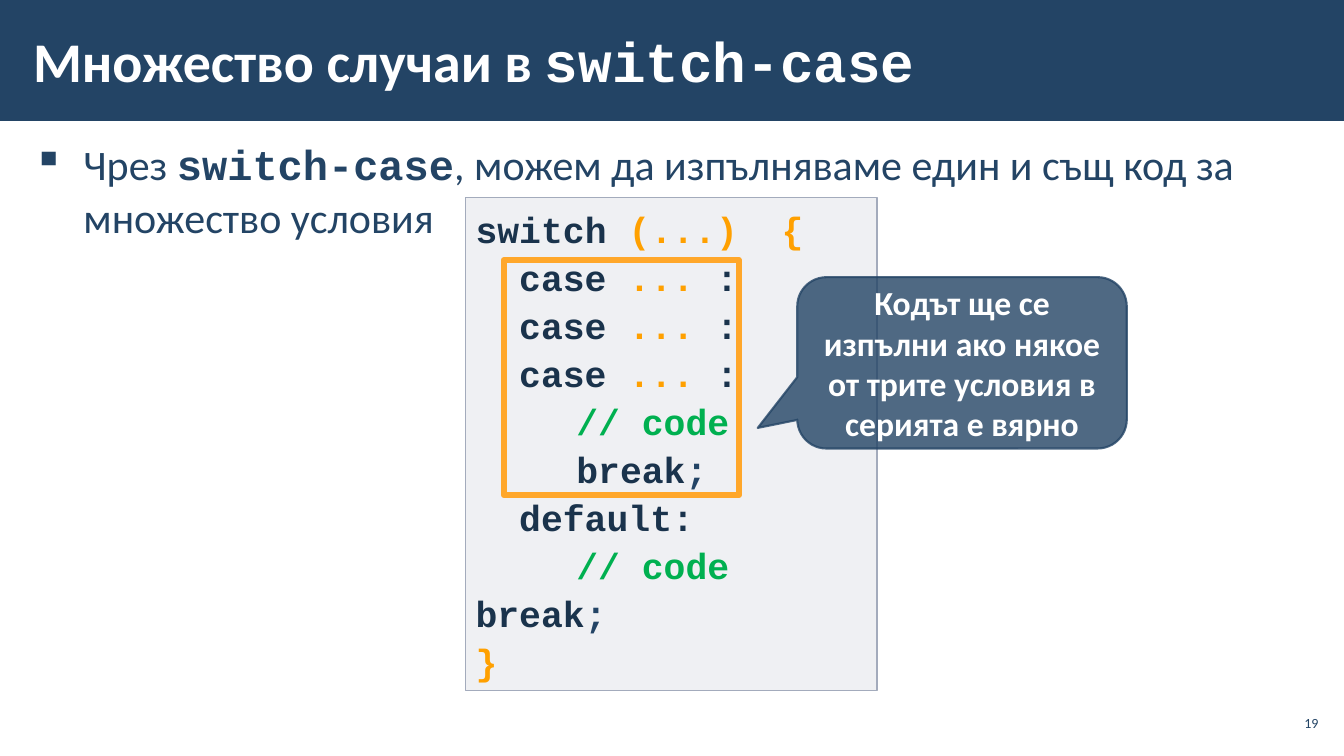
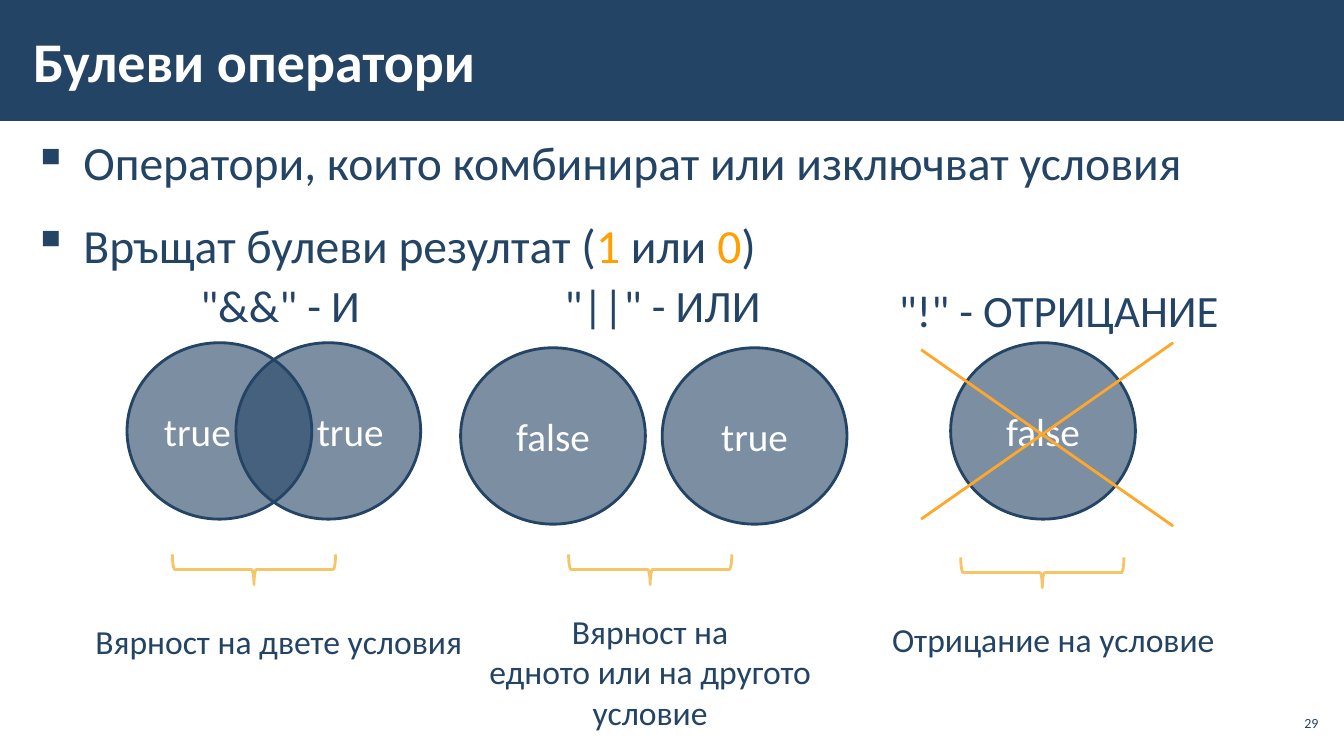
from dataclasses import dataclass

from lxml import etree
from pptx import Presentation
from pptx.dml.color import RGBColor
from pptx.enum import shapes, text
from pptx.oxml import ns
from pptx.util import Pt

ALIGN, ANCHOR = text.PP_ALIGN, text.MSO_ANCHOR
KIND = shapes.MSO_SHAPE


@dataclass(frozen=True)
class Theme:
    navy: str = "234465"
    white: str = "FFFFFF"
    ink: str = "1A334C"
    orange: str = "FFA000"
    frame: str = "FFA72A"
    brace: str = "F5C567"
    green: str = "00B050"
    panel: str = "C2C7D2"
    panel_line: str = "A3ABBC"
    sans: str = "Calibri"
    mono: str = "Courier New"
    title: int = 40
    heading: int = 32
    circle: int = 28
    code: int = 26
    caption: int = 24
    number: int = 10


T = Theme()
WIDTH, HEIGHT = 960, 540
BULLET_INDENT = 36
CODE_INDENTS = (0, 31.2, 72)
CODE_PITCH = 34.3
CIRCLE_W, CIRCLE_H = 132, 126
BRACE_W, BRACE_H = 21.6, 116.6

MONO_BOLD = {"font": T.mono, "bold": True}
INK, ORANGE = {"color": T.ink}, {"color": T.orange}
GREEN = {"color": T.green}

# Each paragraph is a list of (text, style overrides).
SWITCH_SLIDE = {
    "number": "19",
    "title": [("Множество случаи в ", {}), ("switch-case", {"font": T.mono})],
    "body": {
        "top": 94.3, "size": 30, "spacing": 1.05,
        "bullets": [[
            ("Чрез ", {}), ("switch-case", MONO_BOLD),
            (", можем да изпълняваме един и същ код за множество условия", {}),
        ]],
    },
}
CASE_LINE = (1, [("case ", INK), ("... ", ORANGE), (":", INK)])
COMMENT_LINE = (2, [("// code", GREEN)])
BREAK_RUNS = [("break", INK), (";", {"color": T.navy})]
CODE = [  # (indent level, runs)
    (0, [("switch ", INK), ("(...)  {", ORANGE)]),
    *[CASE_LINE] * 3,
    COMMENT_LINE,
    (2, BREAK_RUNS),
    (1, [("default:", INK)]),
    COMMENT_LINE,
    (0, BREAK_RUNS),
    (0, [("}", ORANGE)]),
]
CALLOUT = "Кодът ще се изпълни ако някое от трите условия в серията е вярно"

BOOLEAN_SLIDE = {
    "number": "29",
    "title": [("Булеви оператори", {})],
    "body": {
        "top": 86.4, "size": 34, "spacing": 1.15,
        "bullets": [
            [("Оператори, които комбинират или изключват условия", {})],
            [("Връщат булеви резултат (", {}), ("1", ORANGE), (" или ", {}),
             ("0", ORANGE), (")", {})],
        ],
    },
}
# Text blocks are (centre x, top, lines); circles are (left, label, alignment).
OPERATORS = [
    {"heading": (200.2, 195, ['"&&" - И']),
     "circle_top": 244.8,
     "circles": [(90.7, "true", ALIGN.LEFT), (168.5, "true", ALIGN.RIGHT)],
     "brace": (181.4, 406.8),
     "caption": (199.1, 440, ["Вярност на двете условия"])},
    {"heading": (473.4, 195, ['"||" - ИЛИ']),
     "circle_top": 248.4,
     "circles": [(329, "false", ALIGN.CENTER), (473, "true", ALIGN.CENTER)],
     "brace": (464.4, 406.8),
     "caption": (464.4, 432.7,
                 ["Вярност на", "едното или на другото", "условие"])},
    {"heading": (756.4, 198.7, ['"!" - ОТРИЦАНИЕ']),
     "circle_top": 244.8,
     "circles": [(679, "false", ALIGN.CENTER)],
     "brace": (744.5, 409),
     "caption": (752.4, 438.5, ["Отрицание на условие"])},
]
CROSS_LEFT, CROSS_RIGHT, CROSS_RISE = 658, 838, 126
CROSS_LINES = [(244.8, CROSS_RISE), (375.8, -CROSS_RISE)]  # right y, change to left


def points(*values):
    return [Pt(value) for value in values]


def rgb(value):
    return RGBColor.from_string(value)


def set_alpha(holder, percent):
    """Make the solid fill directly under an XML element translucent."""
    colour = holder.find(ns.qn("a:solidFill"))[0]
    etree.SubElement(colour, ns.qn("a:alpha"), val=str(percent * 1000))


def add_runs(para, runs, size, color, bold=False, font=T.sans):
    base = {"size": size, "color": color, "bold": bold, "font": font}
    for content, changes in runs:
        style = {**base, **changes}
        span = para.add_run()
        span.text = content
        span.font.size = Pt(style["size"])
        span.font.name = style["font"]
        span.font.bold = style["bold"]
        span.font.color.rgb = rgb(style["color"])


def write(box, paragraphs, align=ALIGN.LEFT, anchor=ANCHOR.TOP, wrap=True,
          insets=(7.2, 3.6), **style):
    """Fill a shape with paragraphs of runs and return the paragraphs."""
    frame = box.text_frame
    frame.word_wrap = wrap
    frame.vertical_anchor = anchor
    frame.margin_left = frame.margin_right = Pt(insets[0])
    frame.margin_top = frame.margin_bottom = Pt(insets[1])
    paras = []
    for index, runs in enumerate(paragraphs):
        para = frame.add_paragraph() if index else frame.paragraphs[0]
        para.alignment = align
        add_runs(para, runs, **style)
        paras.append(para)
    return paras


def add_text(page, at, paragraphs, **options):
    return write(page.shapes.add_textbox(*points(*at)), paragraphs, **options)


def add_figure(page, kind, at, fill=None, line=None, weight=1, alpha=None):
    figure = page.shapes.add_shape(kind, *points(*at))
    figure.shadow.inherit = False
    if fill:
        figure.fill.solid()
        figure.fill.fore_color.rgb = rgb(fill)
        if alpha:
            set_alpha(figure.element.spPr, alpha)
    else:
        figure.fill.background()
    if line:
        figure.line.color.rgb = rgb(line)
        figure.line.width = Pt(weight)
    else:
        figure.line.fill.background()
    return figure


def add_line(page, start, end, color, weight):
    line = page.shapes.add_connector(
        shapes.MSO_CONNECTOR.STRAIGHT, *points(*start, *end))
    line.line.color.rgb = rgb(color)
    line.line.width = Pt(weight)
    etree.SubElement(line.element.spPr, ns.qn("a:effectLst"))


def set_indent(para, left, first=0):
    props = para._p.get_or_add_pPr()
    props.set("marL", str(int(Pt(left))))
    props.set("indent", str(int(Pt(first))))
    return props


def add_page(deck, content):
    """Add a slide with the shared band, bullets, title and page number."""
    page = deck.slides.add_slide(deck.slide_layouts[6])
    add_figure(page, KIND.RECTANGLE, (0, 0, WIDTH, 86.4), T.navy)
    body = content["body"]
    bullets = add_text(page, (15.1, body["top"], 930, 410), body["bullets"],
                       insets=(8.5, 2.8), size=body["size"], color=T.navy)
    for para in bullets:
        para.line_spacing = body["spacing"]
        para.space_before = para.space_after = Pt(6)
        props = set_indent(para, BULLET_INDENT, -BULLET_INDENT)
        etree.SubElement(props, ns.qn("a:buChar"), char="▪")
    add_text(page, (15.1, 7.9, 748, 69.8), [content["title"]],
             anchor=ANCHOR.MIDDLE, insets=(8.5, 2.8),
             size=T.title, color=T.white, bold=True)
    add_text(page, (910.8, 504, 33.8, 24.5), [[(content["number"], {})]],
             align=ALIGN.RIGHT, anchor=ANCHOR.MIDDLE, insets=(2.8, 2.8),
             size=T.number, color=T.navy)
    return page


def build_switch(deck):
    page = add_page(deck, SWITCH_SLIDE)
    panel = add_figure(page, KIND.RECTANGLE, (332.6, 141.1, 293.8, 352),
                       T.panel, T.panel_line, 1, alpha=25)
    code = write(panel, [runs for _, runs in CODE],
                 size=T.code, color=T.ink, bold=True, font=T.mono)
    for para, (level, _) in zip(code, CODE):
        para.line_spacing = Pt(CODE_PITCH)
        set_indent(para, CODE_INDENTS[level])
    add_figure(page, KIND.RECTANGLE, (360, 185.8, 167.8, 167.8),
               line=T.frame, weight=4.5)
    callout = add_figure(page, KIND.ROUNDED_RECTANGULAR_CALLOUT,
                         (569.5, 198, 235.4, 122.4), T.navy, T.navy, 1.5, alpha=80)
    set_alpha(callout.element.spPr.find(ns.qn("a:ln")), 80)
    for index, value in enumerate((-0.62, 0.38, 0.17)):
        callout.adjustments[index] = value
    write(callout, [[(CALLOUT, {})]], align=ALIGN.CENTER, anchor=ANCHOR.MIDDLE,
          size=T.caption, color=T.white, bold=True)


def add_centred_lines(page, block, size):
    centre, top, lines = block
    width, height = 280, 1.22 * size * len(lines) + 7.2
    add_text(page, (centre - width / 2, top, width, height),
             [[(line, {})] for line in lines],
             align=ALIGN.CENTER, wrap=False, size=size, color=T.navy)


def add_operator(page, operator):
    for left, label, align in operator["circles"]:
        circle = add_figure(page, KIND.OVAL,
                            (left, operator["circle_top"], CIRCLE_W, CIRCLE_H),
                            T.navy, T.navy, 2, alpha=60)
        write(circle, [[(label, {})]], align=align, anchor=ANCHOR.MIDDLE,
              size=T.circle, color=T.white)
    add_centred_lines(page, operator["heading"], T.heading)
    x, y = operator["brace"]
    brace = add_figure(page, KIND.RIGHT_BRACE,
                       (x - BRACE_W / 2, y - BRACE_H / 2, BRACE_W, BRACE_H),
                       line=T.brace, weight=2)
    brace.rotation = 90
    add_centred_lines(page, operator["caption"], T.caption)


def build_boolean(deck):
    page = add_page(deck, BOOLEAN_SLIDE)
    for operator in OPERATORS:
        add_operator(page, operator)
    for y, change in CROSS_LINES:
        add_line(page, (CROSS_RIGHT, y), (CROSS_LEFT, y + change), T.frame, 2)


def main():
    deck = Presentation()
    deck.slide_width, deck.slide_height = points(WIDTH, HEIGHT)
    build_switch(deck)
    build_boolean(deck)
    deck.save("out.pptx")


if __name__ == "__main__":
    main()
